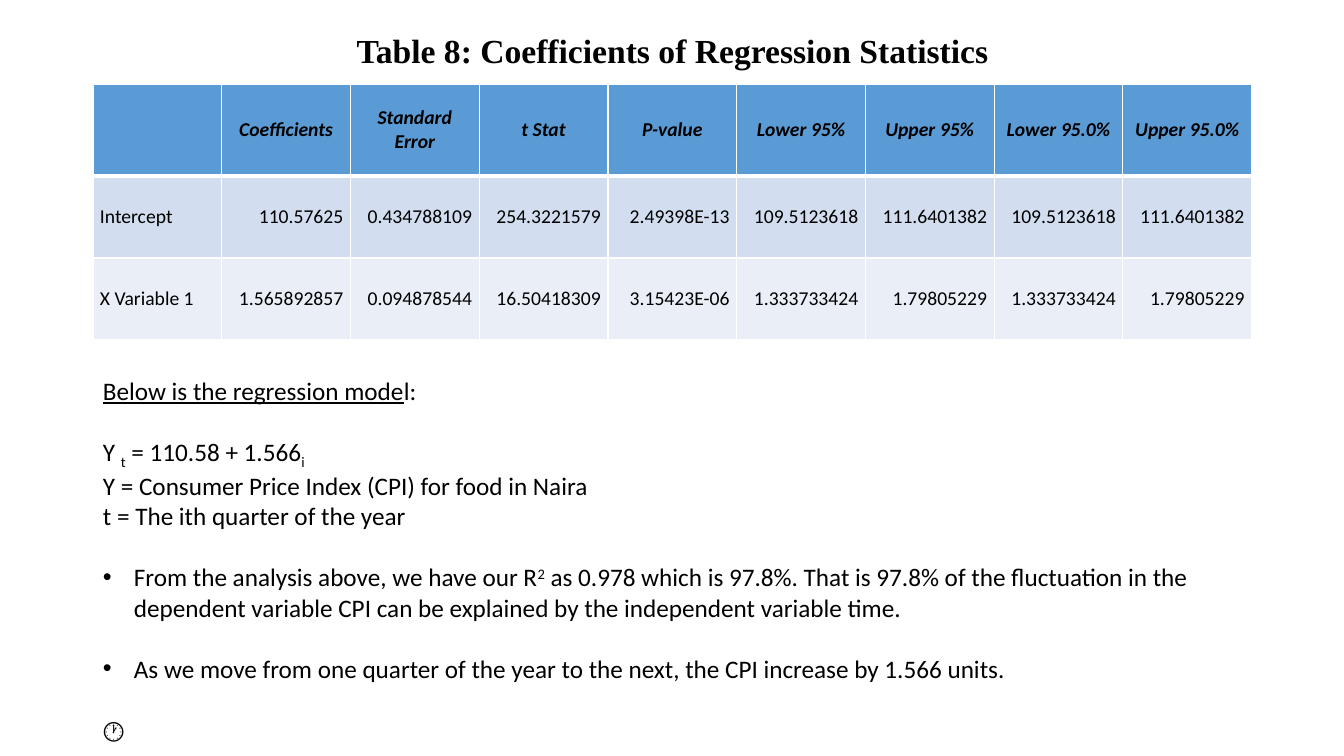
from lxml import etree
from pptx import Presentation
from pptx import util as u
from pptx.dml.color import RGBColor
from pptx.enum import text as t
from pptx.oxml import ns

TITLE = "Table 8: Coefficients of Regression Statistics"
ROWS = [
    ["", "Coefficients", "Standard Error", "t Stat", "P-value",
     "Lower 95%", "Upper 95%", "Lower 95.0%", "Upper 95.0%"],
    ["Intercept", "110.57625", "0.434788109", "254.3221579", "2.49398E-13",
     "109.5123618", "111.6401382", "109.5123618", "111.6401382"],
    ["X Variable 1", "1.565892857", "0.094878544", "16.50418309", "3.15423E-06",
     "1.333733424", "1.79805229", "1.333733424", "1.79805229"],
]
# Each line: gap above, bullet, runs of (words, style)
LINES = [
    (False, False, [("Below is the regression mode", "line"), ("l:", "")]),
    (True, False, [("Y ", ""), ("t", "sub"), (" = 110.58 + 1.566", ""), ("i", "sub")]),
    (False, False, [("Y = Consumer Price Index (CPI) for food in Naira", "")]),
    (False, False, [("t = The ith quarter of the year", "")]),
    (True, True, [("From the analysis above, we have our R", ""), ("2", "sup"),
                  (" as 0.978 which is 97.8%. That is 97.8% of the fluctuation in the "
                   "dependent variable CPI can be explained by the independent "
                   "variable time.", "")]),
    (True, True, [("As we move from one quarter of the year to the next, "
                   "the CPI increase by 1.566 units.", "")]),
    (True, False, [("🕐", "")]),
]
BASE = {"sub": "-25000", "sup": "30000"}
COLORS = {"ink": "000000", "edge": "FFFFFF", "head": "5B9BD5",
          "odd": "D2DEEF", "even": "EAEFF7"}
FILLS = ["head", "odd", "even"]
HIGHS = [92, 82, 82]
LEFT, WIDE = 93, 1159
GAP = 22


def px(n):
    return u.Emu(round(n * 914400 / 100.8))


def color(name):
    return RGBColor.from_string(COLORS[name])


def style(font, size, face="Calibri", bold=False, italic=False):
    font.name, font.size = face, u.Pt(size)
    font.bold, font.italic = bold, italic
    font.color.rgb = color("ink")


def edge(cell, head):
    """White cell borders, heavier under the header row."""
    for i, side in enumerate("LRTB"):
        width = u.Pt(3 if head and side == "B" else 1)
        line = etree.Element(ns.qn(f"a:ln{side}"), w=str(width))
        fill = etree.SubElement(line, ns.qn("a:solidFill"))
        etree.SubElement(fill, ns.qn("a:srgbClr"), val=COLORS["edge"])
        cell._tc.get_or_add_tcPr().insert(i, line)


def bullet(para):
    props = para._p.get_or_add_pPr()
    props.set("marL", str(px(31)))
    props.set("indent", str(-px(31)))
    etree.SubElement(props, ns.qn("a:buFont"), typeface="Arial")
    etree.SubElement(props, ns.qn("a:buChar"), char="•")


def add_box(slide, top, high):
    frame = slide.shapes.add_textbox(px(LEFT), px(top), px(WIDE), px(high)).text_frame
    frame.word_wrap = True
    return frame


def add_grid(slide):
    grid = slide.shapes.add_table(len(ROWS), len(ROWS[0]), px(LEFT), px(84),
                                  px(WIDE), px(sum(HIGHS))).table
    grid.horz_banding = False
    for col in grid.columns:
        col.width = px(WIDE / len(ROWS[0]))
    for r, row in enumerate(ROWS):
        grid.rows[r].height = px(HIGHS[r])
        head = r == 0
        for c, words in enumerate(row):
            cell = grid.cell(r, c)
            edge(cell, head)
            cell.fill.solid()
            cell.fill.fore_color.rgb = color(FILLS[r])
            cell.vertical_anchor = t.MSO_ANCHOR.MIDDLE
            cell.margin_left = cell.margin_right = px(7)
            cell.margin_top = cell.margin_bottom = 0
            cell.text = words
            para = cell.text_frame.paragraphs[0]
            align = t.PP_ALIGN
            para.alignment = align.CENTER if head else align.RIGHT if c else align.LEFT
            style(para.font, 14, bold=head, italic=head)
            for run in para.runs:
                style(run.font, 14, bold=head, italic=head)


def add_notes(slide):
    frame = add_box(slide, 370, 376)
    for i, (gap, dot, runs) in enumerate(LINES):
        para = frame.add_paragraph() if i else frame.paragraphs[0]
        if gap:
            para.space_before = u.Pt(GAP)
        if dot:
            bullet(para)
        for words, kind in runs:
            run = para.add_run()
            run.text = words
            style(run.font, 18)
            run.font.underline = kind == "line"
            if kind in BASE:
                run._r.get_or_add_rPr().set("baseline", BASE[kind])


def main():
    deck = Presentation()
    deck.slide_width, deck.slide_height = px(1344), px(756)
    slide = deck.slides.add_slide(deck.slide_layouts[6])
    add_grid(slide)
    add_notes(slide)
    frame = add_box(slide, 25, 50)
    frame.text = TITLE
    para = frame.paragraphs[0]
    para.alignment = t.PP_ALIGN.CENTER
    style(para.runs[0].font, 24, "Times New Roman", bold=True)
    deck.save("out.pptx")


if __name__ == "__main__":
    main()
